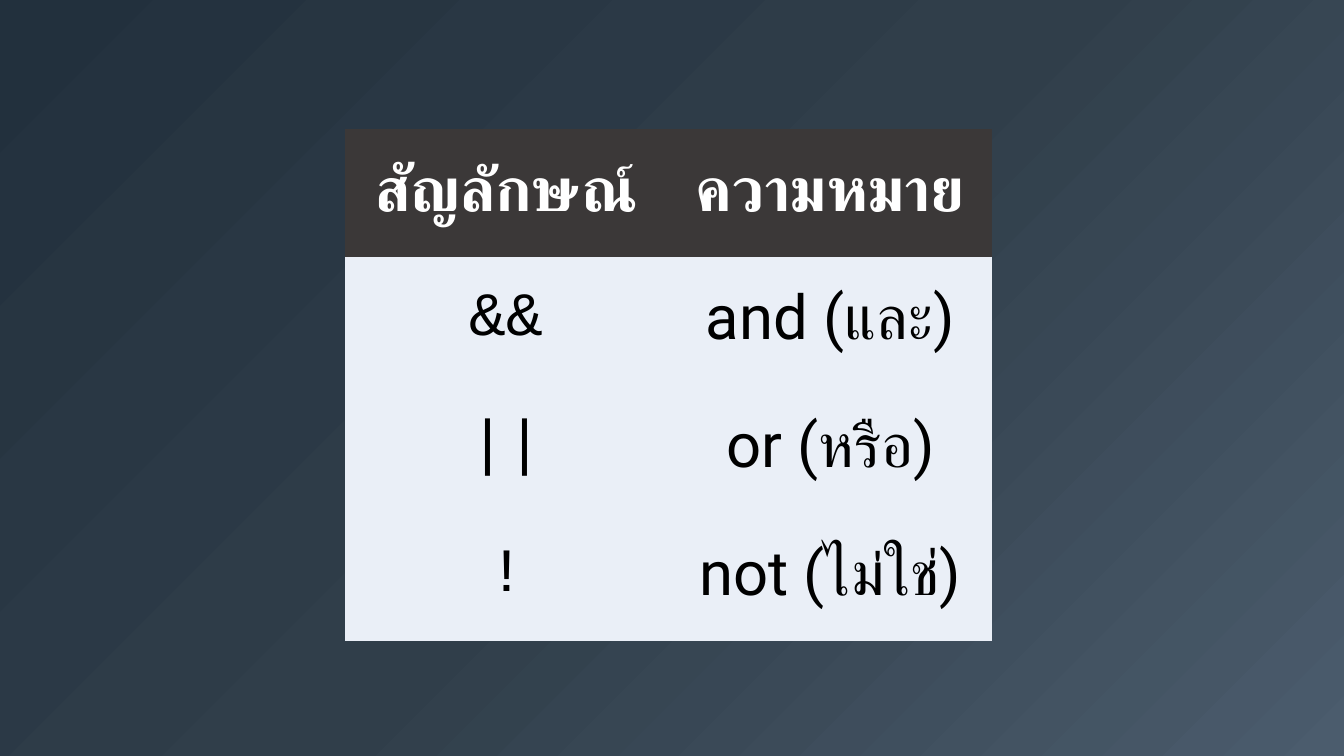
from lxml.etree import SubElement
from pptx import Presentation
from pptx.dml.color import RGBColor
from pptx.enum.text import MSO_ANCHOR, PP_ALIGN
from pptx.oxml.ns import qn
from pptx.util import Inches, Pt

COLORS = {
    "glow": "4B5C6D", "slate": "303E4A", "night": "22303D",
    "header": "3B3838", "body": "EAEFF7", "white": "FFFFFF", "black": "000000",
}
GRADIENT = [(0, "glow"), (49, "slate"), (100, "night")]
CELL_FORMAT = {
    "margin_left": Inches(0.01), "margin_right": Inches(0.01),
    "margin_top": Inches(0.01), "margin_bottom": Inches(0.05),
    "vertical_anchor": MSO_ANCHOR.MIDDLE,
}
HEADER_FONT = {"name": "Roboto", "size": Pt(44), "bold": True}
SYMBOL_FONT = {"name": "Courier New", "size": Pt(44), "bold": False}
MEANING_FONT = {"name": "Roboto", "size": Pt(44), "bold": False}
NO_STYLE = "{2D5ABB26-0587-4C30-8999-92F81FD0307C}"
COLUMN, ROW = Inches(3.21), Inches(1.27)
LEFT, TOP = Inches(3.42), Inches(1.28)
OPERATORS = [
    ("สัญลักษณ์", "ความหมาย"),
    ("&&", "and (และ)"),
    ("||", "or (หรือ)"),
    ("!", "not (ไม่ใช่)"),
]


def apply_format(target, values):
    """Set every attribute in values on the target."""
    for name, value in values.items():
        setattr(target, name, value)


def paint_background(page):
    """Fill the page with a circular gradient centred on the bottom right corner."""
    page.background.fill.solid()
    properties = page.element.find(".//" + qn("p:bgPr"))
    properties.remove(properties.find(qn("a:solidFill")))
    gradient = properties.makeelement(qn("a:gradFill"), {"rotWithShape": "1"})
    properties.insert(0, gradient)
    stops = SubElement(gradient, qn("a:gsLst"))
    for percent, color in GRADIENT:
        stop = SubElement(stops, qn("a:gs"), pos=str(percent * 1000))
        SubElement(stop, qn("a:srgbClr"), val=COLORS[color])
    circle = SubElement(gradient, qn("a:path"), {"path": "circle"})
    SubElement(circle, qn("a:fillToRect"), l="100000", t="100000")
    SubElement(gradient, qn("a:tileRect"), r="-100000", b="-100000")


def fill_cell(cell, text, font, fill, color):
    """Write one centred cell in the given font and colours."""
    apply_format(cell, CELL_FORMAT)
    cell.fill.solid()
    cell.fill.fore_color.rgb = RGBColor.from_string(COLORS[fill])
    para = cell.text_frame.paragraphs[0]
    para.alignment = PP_ALIGN.CENTER
    span = para.add_run()
    span.text = text
    apply_format(span.font, font)
    span.font.color.rgb = RGBColor.from_string(COLORS[color])
    SubElement(span.font._element, qn("a:cs"), typeface=font["name"])


def add_operator_table(page):
    """Add the table of logical operators and their meanings."""
    rows, columns = len(OPERATORS), len(OPERATORS[0])
    frame = page.shapes.add_table(
        rows, columns, LEFT, TOP, columns * COLUMN, rows * ROW)
    table = frame.table
    table.horz_banding = False
    frame.element.find(".//" + qn("a:tableStyleId")).text = NO_STYLE
    for row, texts in enumerate(OPERATORS):
        for column, text in enumerate(texts):
            cell = table.cell(row, column)
            if row == 0:
                fill_cell(cell, text, HEADER_FONT, "header", "white")
            else:
                font = (SYMBOL_FONT, MEANING_FONT)[column]
                fill_cell(cell, text, font, "body", "black")


def main():
    """Build the slide and save it."""
    deck = Presentation()
    apply_format(deck, {"slide_width": Inches(13.33), "slide_height": Inches(7.5)})
    page = deck.slides.add_slide(deck.slide_layouts[6])
    paint_background(page)
    add_operator_table(page)
    deck.save("out.pptx")


if __name__ == "__main__":
    main()
